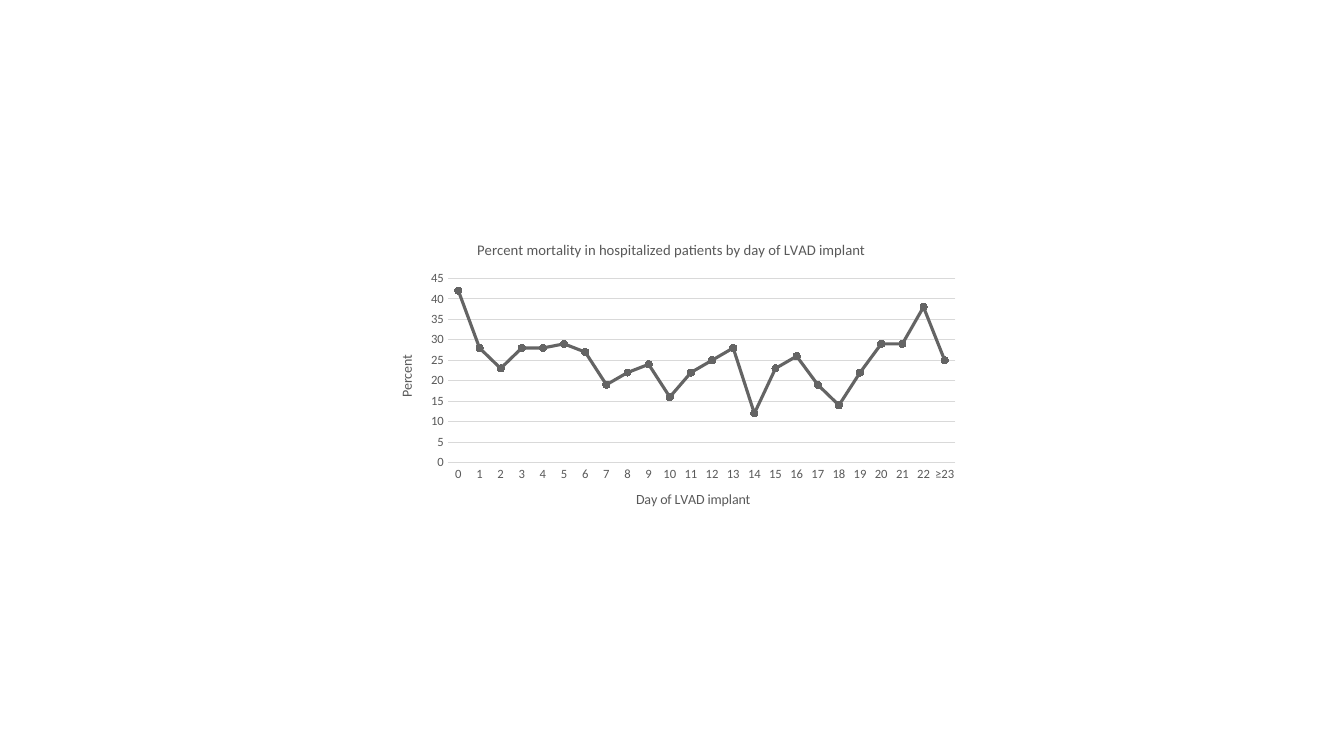
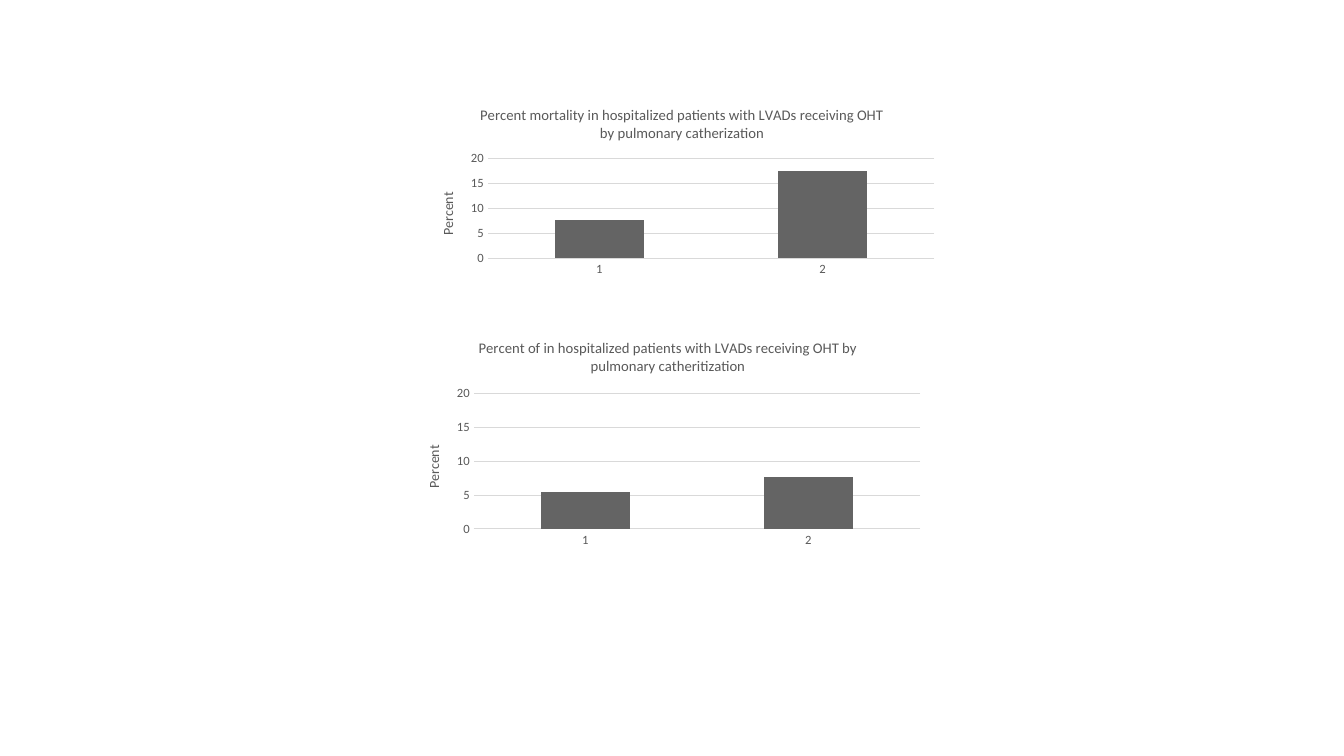
from dataclasses import dataclass

from lxml import etree
from pptx import Presentation
from pptx.chart.axis import CategoryAxis, ValueAxis
from pptx.chart.chart import Chart
from pptx.chart.data import CategoryChartData
from pptx.dml.color import RGBColor
from pptx.dml.line import LineFormat
from pptx.enum.chart import XL_CHART_TYPE, XL_MARKER_STYLE, XL_TICK_MARK
from pptx.oxml.ns import qn
from pptx.slide import Slide
from pptx.text.text import Font, TextFrame
from pptx.util import Inches, Pt

LINE = XL_CHART_TYPE.LINE_MARKERS
COLUMN = XL_CHART_TYPE.COLUMN_CLUSTERED
CIRCLE = XL_MARKER_STYLE.CIRCLE
NO_TICK = XL_TICK_MARK.NONE

SLIDE_WIDTH = Inches(13.33)
SLIDE_HEIGHT = Inches(7.5)
BLANK_LAYOUT = 6
FONT_NAME = "Calibri"
COLORS = {"text": "595959", "grid": "D9D9D9", "data": "646464"}
TITLE_SIZE, AXIS_TITLE_SIZE, LABEL_SIZE = 10.5, 10, 9


@dataclass(frozen=True)
class Box:
    """Left, top, width and height as percentages of the enclosing area."""
    left: float
    top: float
    width: float
    height: float


@dataclass(frozen=True)
class ChartSpec:
    kind: XL_CHART_TYPE
    title: str
    categories: list[str]
    values: list[float]
    maximum: int
    frame: Box
    plot_area: Box
    category_title: str = ""


GROUPS = ["1", "2"]

SLIDES = [
    [
        ChartSpec(
            LINE,
            "Percent mortality in hospitalized patients by day of LVAD implant",
            [str(day) for day in range(23)] + ["≥23"],
            [42, 28, 23, 28, 28, 29, 27, 19, 22, 24, 16, 22,
             25, 28, 12, 23, 26, 19, 14, 22, 29, 29, 38, 25],
            45,
            Box(28.06, 29.87, 43.81, 40.27),
            Box(12, 17.3, 86.2, 60.5),
            "Day of LVAD implant",
        ),
    ],
    [
        ChartSpec(
            COLUMN,
            "Percent mortality in hospitalized patients with LVADs receiving OHT "
            "by pulmonary catherization",
            GROUPS, [7.7, 17.4], 20,
            Box(31.21, 12.27, 39.08, 30.4),
            Box(13, 28.5, 85, 43.5),
        ),
        ChartSpec(
            COLUMN,
            "Percent of in hospitalized patients with LVADs receiving OHT "
            "by pulmonary catheritization",
            GROUPS, [5.5, 7.7], 20,
            Box(30.16, 42.93, 39.08, 35.73),
            Box(13, 25.5, 85, 50.2),
        ),
    ],
]


def color(name: str) -> RGBColor:
    return RGBColor.from_string(COLORS[name])


def format_font(font: Font, *, size: float, color_name: str = "text") -> None:
    font.name = FONT_NAME
    font.size = Pt(size)
    font.bold = False
    font.color.rgb = color(color_name)


def write_text(text_frame: TextFrame, text: str, *, size: float) -> None:
    text_frame.text = text
    format_font(text_frame.paragraphs[0].runs[0].font, size=size)


def format_line(line: LineFormat, *, color_name: str, width: float) -> None:
    line.color.rgb = color(color_name)
    line.width = Pt(width)


def format_axis(axis: CategoryAxis | ValueAxis, title: str) -> None:
    axis.major_tick_mark = NO_TICK
    axis.minor_tick_mark = NO_TICK
    format_font(axis.tick_labels.font, size=LABEL_SIZE)
    axis.has_title = bool(title)
    if title:
        write_text(axis.axis_title.text_frame, title, size=AXIS_TITLE_SIZE)


def format_axes(chart: Chart, spec: ChartSpec) -> None:
    category_axis, value_axis = chart.category_axis, chart.value_axis
    format_axis(category_axis, spec.category_title)
    format_line(category_axis.format.line, color_name="grid", width=0.75)

    format_axis(value_axis, "Percent")
    value_axis.format.line.fill.background()
    value_axis.minimum_scale = 0
    value_axis.maximum_scale = spec.maximum
    value_axis.major_unit = 5
    value_axis.has_major_gridlines = True
    format_line(value_axis.major_gridlines.format.line, color_name="grid", width=0.75)


def format_series(chart: Chart, kind: XL_CHART_TYPE) -> None:
    plot = chart.plots[0]
    plot.vary_by_categories = False
    series = plot.series[0]
    if kind == LINE:
        series.smooth = False
        format_line(series.format.line, color_name="data", width=2.25)
        series.marker.style = CIRCLE
        series.marker.size = 5
        marker_format = series.marker.format
        marker_format.fill.solid()
        marker_format.fill.fore_color.rgb = color("data")
        format_line(marker_format.line, color_name="data", width=0.75)
    else:
        plot.gap_width = 150
        plot.overlap = -100
        series.format.fill.solid()
        series.format.fill.fore_color.rgb = color("data")


def place_plot_area(chart: Chart, box: Box) -> None:
    """Fix the area inside the axes, which python-pptx leaves automatic."""
    plot_area = chart.element.find(f".//{qn('c:plotArea')}")
    for layout in plot_area.findall(qn("c:layout")):
        plot_area.remove(layout)
    layout = etree.Element(qn("c:layout"))
    manual = etree.SubElement(layout, qn("c:manualLayout"))
    settings = {
        "layoutTarget": "inner", "xMode": "edge", "yMode": "edge",
        "x": box.left / 100, "y": box.top / 100,
        "w": box.width / 100, "h": box.height / 100,
    }
    for name, value in settings.items():
        etree.SubElement(manual, qn(f"c:{name}"), val=str(value))
    plot_area.insert(0, layout)


def add_chart(slide: Slide, spec: ChartSpec) -> None:
    data = CategoryChartData()
    data.categories = spec.categories
    data.add_series("Series 1", spec.values)
    frame = spec.frame
    chart = slide.shapes.add_chart(
        spec.kind,
        round(SLIDE_WIDTH * frame.left / 100),
        round(SLIDE_HEIGHT * frame.top / 100),
        round(SLIDE_WIDTH * frame.width / 100),
        round(SLIDE_HEIGHT * frame.height / 100),
        data,
    ).chart
    format_font(chart.font, size=AXIS_TITLE_SIZE)
    chart.has_legend = False
    chart.has_title = True
    write_text(chart.chart_title.text_frame, spec.title, size=TITLE_SIZE)
    format_axes(chart, spec)
    format_series(chart, spec.kind)
    place_plot_area(chart, spec.plot_area)


def main() -> None:
    presentation = Presentation()
    presentation.slide_width = SLIDE_WIDTH
    presentation.slide_height = SLIDE_HEIGHT
    for chart_specs in SLIDES:
        slide = presentation.slides.add_slide(presentation.slide_layouts[BLANK_LAYOUT])
        for spec in chart_specs:
            add_chart(slide, spec)
    presentation.save("out.pptx")


if __name__ == "__main__":
    main()
